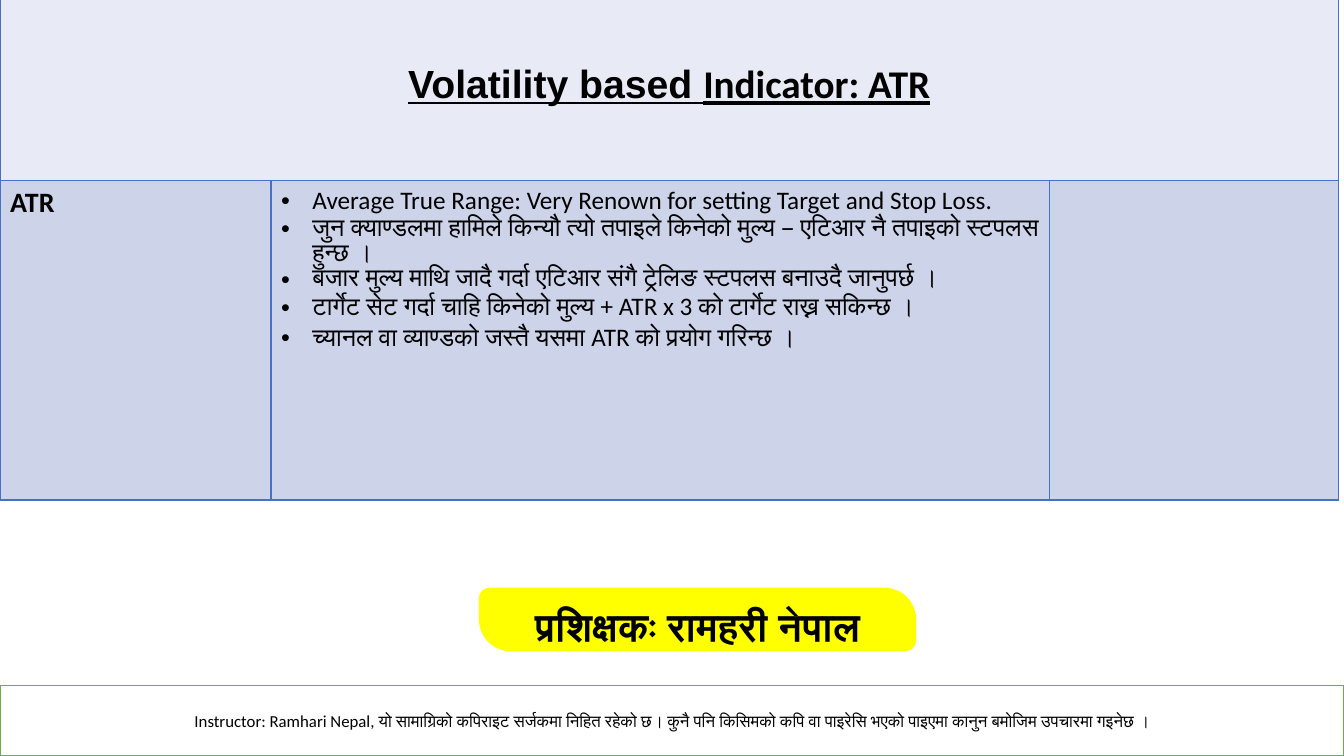
"""Build the ATR volatility indicator slide."""
from lxml.etree import SubElement
from pptx import Presentation
from pptx.dml.color import RGBColor
from pptx.enum.shapes import MSO_SHAPE
from pptx.enum.text import MSO_ANCHOR, MSO_AUTO_SIZE, PP_ALIGN
from pptx.oxml.ns import qn
from pptx.util import Cm, Pt


def paint(fill, tone):
    fill.solid()
    fill.fore_color.rgb = RGBColor.from_string(tone)


def write(para, text, size, bold=False, face="Calibri", under=False):
    run = para.add_run()
    run.text = text
    font = run.font
    font.size, font.bold, font.name, font.underline = Pt(size), bold, face, under
    paint(font.fill, "000000")


deck = Presentation()
deck.slide_width, deck.slide_height = Cm(33.87), Cm(19.05)
slide = deck.slides.add_slide(deck.slide_layouts[6])

widths = [6.83, 19.61, 7.29]
heights = [4.8, 8.05]
table = slide.shapes.add_table(
    2, 3, Cm(0), Cm(-0.25), Cm(sum(widths)), Cm(sum(heights))).table
table.first_row = table.horz_banding = False
for column, width in zip(table.columns, widths):
    column.width = Cm(width)
for row, height, tone in zip(table.rows, heights, ["E8EBF5", "CDD4EA"]):
    row.height = Cm(height)
    for cell in row.cells:
        props = cell._tc.get_or_add_tcPr()
        for side in ["lnL", "lnR", "lnT", "lnB"]:
            edge = SubElement(props, qn(f"a:{side}"), w=str(Pt(1)))
            solid = SubElement(edge, qn("a:solidFill"))
            SubElement(solid, qn("a:srgbClr"), val="4472C4")
        paint(cell.fill, tone)

title = table.cell(0, 0)
title.merge(table.cell(0, 2))
title.vertical_anchor = MSO_ANCHOR.MIDDLE
para = title.text_frame.paragraphs[0]
para.alignment = PP_ALIGN.CENTER
write(para, "Volatility based ", 28, True, "Arial", True)
write(para, "Indicator: ATR", 28, True, under=True)

write(table.cell(1, 0).text_frame.paragraphs[0], "ATR", 20, True)

points = [
    "Average True Range: Very Renown for setting Target and Stop Loss.",
    "जुन क्याण्डलमा हामिले किन्यौ त्यो तपाइले किनेको मुल्य – एटिआर नै तपाइको स्टपलस हुन्छ ।",
    "बजार मुल्य माथि जादै गर्दा एटिआर संगै ट्रेलिङ स्टपलस बनाउदै जानुपर्छ ।",
    "टार्गेट सेट गर्दा चाहि किनेको मुल्य + ATR x 3 को टार्गेट राख्न सकिन्छ ।",
    "च्यानल वा व्याण्डको जस्तै यसमा ATR को प्रयोग गरिन्छ ।",
]
frame = table.cell(1, 1).text_frame
for i, point in enumerate(points):
    para = frame.add_paragraph() if i else frame.paragraphs[0]
    props = para._p.get_or_add_pPr()
    props.set("marL", str(Cm(0.79)))
    props.set("indent", str(-Cm(0.79)))
    tint = SubElement(props, qn("a:buClr"))
    SubElement(tint, qn("a:srgbClr"), val="000000")
    SubElement(props, qn("a:buFont"), typeface="Arial")
    SubElement(props, qn("a:buChar"), char="•")
    write(para, point, 18)

notice = ("Instructor: Ramhari Nepal, यो सामाग्रिको कपिराइट सर्जकमा निहित रहेको छ। "
          "कुनै पनि किसिमको कपि वा पाइरेसि भएको पाइएमा कानुन बमोजिम उपचारमा गइनेछ ।")
boxes = [
    (MSO_SHAPE.RECTANGLE, (0, 17.27, 33.87, 1.78), "FFFFFF", "70AD47",
     MSO_ANCHOR.MIDDLE, MSO_AUTO_SIZE.NONE, notice, 12, False),
    (MSO_SHAPE.ROUND_2_DIAG_RECTANGLE, (12.07, 14.81, 11.02, 1.6), "FFFF00", None,
     MSO_ANCHOR.TOP, MSO_AUTO_SIZE.SHAPE_TO_FIT_TEXT,
     "प्रशिक्षकः रामहरी नेपाल", 28, True),
]
for kind, place, tone, rim, anchor, fit, text, size, bold in boxes:
    box = slide.shapes.add_shape(kind, *map(Cm, place))
    box.shadow.inherit = False
    paint(box.fill, tone)
    if rim:
        paint(box.line.fill, rim)
        box.line.width = Pt(1)
    else:
        box.line.fill.background()
        box.adjustments[0], box.adjustments[1] = 0.17, 0.5
    frame = box.text_frame
    frame.word_wrap = True
    frame.vertical_anchor, frame.auto_size = anchor, fit
    para = frame.paragraphs[0]
    para.alignment = PP_ALIGN.CENTER
    write(para, text, size, bold)

deck.save("out.pptx")
